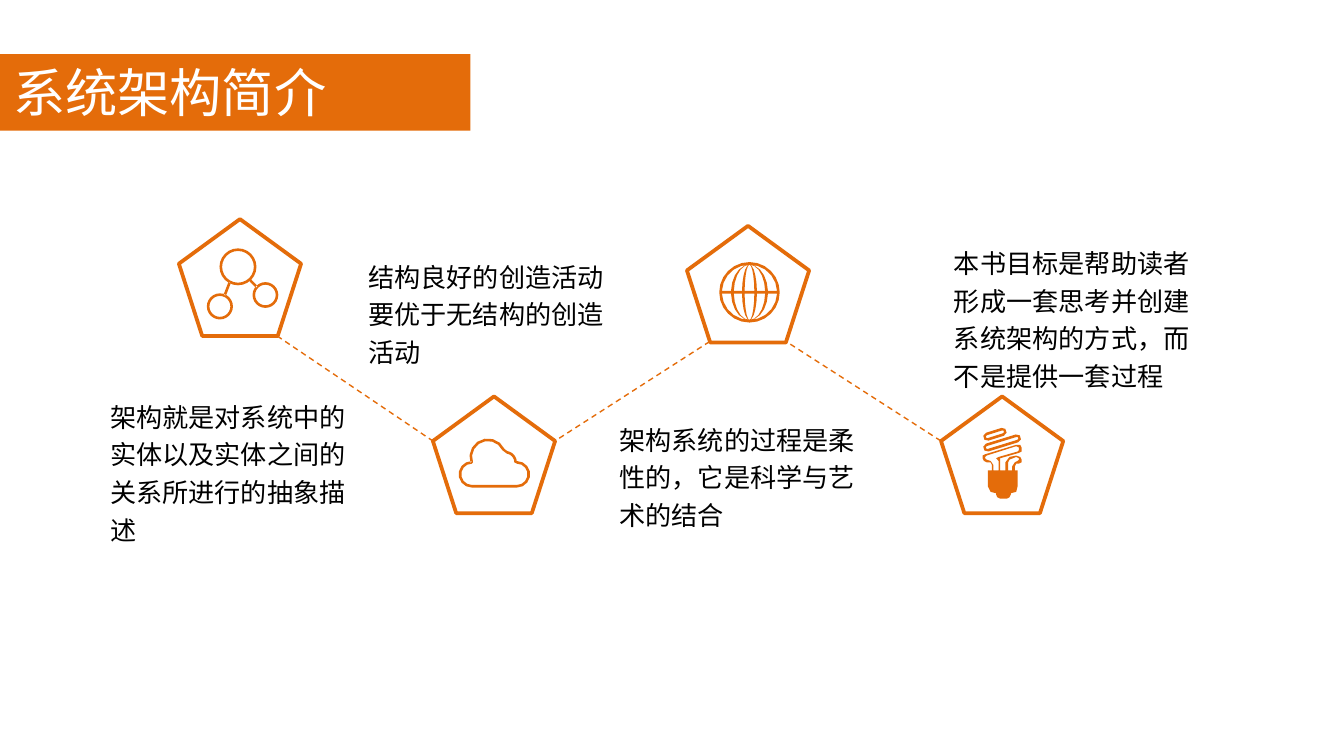
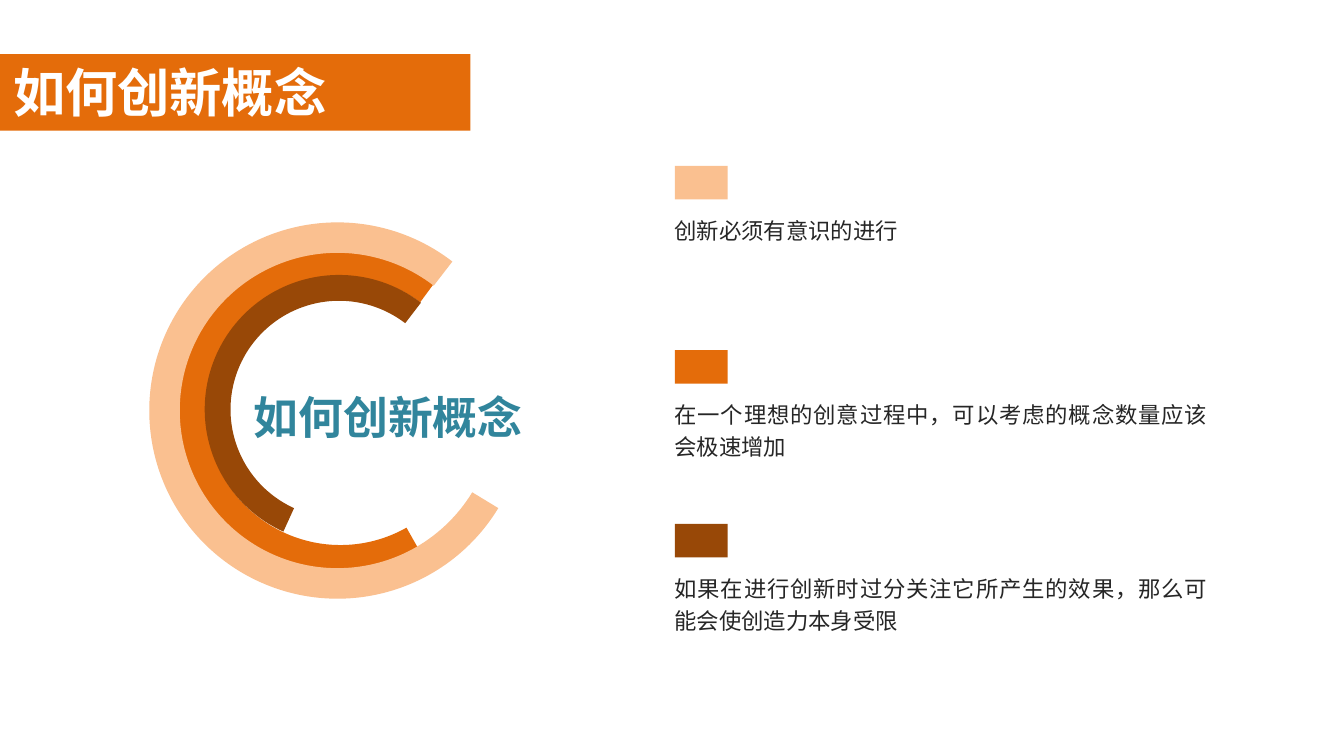
import math
from dataclasses import dataclass

import pptx
import pptx.dml.color
import pptx.enum.dml
import pptx.enum.shapes
import pptx.enum.text
import pptx.oxml.ns
import pptx.shapes.base
import pptx.slide
import pptx.util
from lxml import etree

Pt = pptx.util.Pt
RGBColor = pptx.dml.color.RGBColor
Shapes = pptx.enum.shapes.MSO_SHAPE
Align = pptx.enum.text.PP_ALIGN
Slide = pptx.slide.Slide
Point = tuple[float, float]
Contour = list[Point]
Box = tuple[float, float, float, float]

ORANGE = RGBColor(0xE4, 0x6C, 0x0A)
PEACH = RGBColor(0xFA, 0xC0, 0x90)
BROWN = RGBColor(0x98, 0x48, 0x07)
TEAL = RGBColor(0x31, 0x85, 0x9C)
WHITE = RGBColor(0xFF, 0xFF, 0xFF)
BLACK = RGBColor(0, 0, 0)
CHARCOAL = RGBColor(0x26, 0x26, 0x26)

CJK_FONT = "Noto Sans CJK SC"
TITLE_BAND: Box = (0, 29, 252, 41)
PENTAGON_WIDTH, PENTAGON_HEIGHT = 65.5, 62.6
PENTAGON_LEFT, PENTAGON_PITCH = 95.8, 136.1
STROKE = 1.4


@dataclass(frozen=True)
class Idea:
    pentagon_top: float
    icon: list[Contour]
    text: str
    text_box: Box


@dataclass(frozen=True)
class Ring:
    left: float
    top: float
    size: float
    rotation: float
    start: float
    end: float
    thickness: float
    color: RGBColor


@dataclass(frozen=True)
class Rule:
    top: float
    text_height: float
    color: RGBColor
    text: str


def points(box: Box) -> list[int]:
    return [Pt(length) for length in box]


def write(frame, text: str, *, size: float, color: RGBColor, font: str = CJK_FONT,
          bold: bool = False, align=Align.LEFT, spacing: float = 1.0) -> None:
    frame.word_wrap = True
    frame.vertical_anchor = pptx.enum.text.MSO_ANCHOR.TOP
    frame.auto_size = pptx.enum.text.MSO_AUTO_SIZE.SHAPE_TO_FIT_TEXT
    paragraph = frame.paragraphs[0]
    paragraph.alignment = align
    paragraph.line_spacing = spacing
    run = paragraph.add_run()
    run.text = text
    run.font.size = Pt(size)
    run.font.bold = bold
    run.font.color.rgb = color
    run.font.name = font
    east_asian = etree.SubElement(run.font._element, pptx.oxml.ns.qn("a:ea"))
    east_asian.set("typeface", CJK_FONT)


def add_text(slide: Slide, box: Box, text: str, **text_format) -> None:
    write(slide.shapes.add_textbox(*points(box)).text_frame, text, **text_format)


def paint(shape: pptx.shapes.base.BaseShape, color: RGBColor) -> None:
    shape.shadow.inherit = False
    shape.fill.solid()
    shape.fill.fore_color.rgb = color
    shape.line.fill.background()


def add_filled(slide: Slide, kind: Shapes, box: Box, color: RGBColor):
    shape = slide.shapes.add_shape(kind, *points(box))
    paint(shape, color)
    return shape


def add_title(slide: Slide, title: str, **text_format) -> None:
    band = add_filled(slide, Shapes.RECTANGLE, TITLE_BAND, ORANGE)
    write(band.text_frame, title, size=28, color=WHITE, **text_format)


def arc(x: float, y: float, radius: float, start: float, end: float,
        steps: int = 5) -> Contour:
    """Points along an arc, in degrees clockwise from the right."""
    angles = [math.radians(start + (end - start) * i / steps) for i in range(steps + 1)]
    return [(x + radius * math.cos(a), y + radius * math.sin(a)) for a in angles]


def circle(center: Point, radius: float) -> Contour:
    return arc(*center, radius, 0, 345, steps=23)


def capsule(start: Point, end: Point, radius: float) -> Contour:
    """Outline of a round-ended bar."""
    angle = math.degrees(math.atan2(end[1] - start[1], end[0] - start[0]))
    return (arc(*end, radius, angle - 90, angle + 90, steps=3)
            + arc(*start, radius, angle + 90, angle + 270, steps=3))


def molecule_icon() -> list[Contour]:
    atoms = [((31.7, 25.6), 9.9), ((22, 46.8), 7), ((46.4, 40.7), 6.9)]
    bonds = [((27, 34.6), (24.8, 40.3)), ((38.6, 33.2), (41.4, 36))]
    rings = [circle(center, radius - inset)
             for center, radius in atoms for inset in (0, STROKE)]
    return rings + [capsule(*bond, STROKE / 2) for bond in bonds]


def cloud_icon() -> list[Contour]:
    lobes = [(20.9, 41.7, 6.4, 90, 270), (29.5, 32.4, 9.2, 160, 335),
             (38.9, 35.3, 5.4, 280, 360), (45, 41.7, 6.4, 270, 450)]
    return [[point for x, y, radius, start, end in lobes
             for point in arc(x, y, radius + offset, start, end, steps=7)]
            for offset in (STROKE / 2, -STROKE / 2)]


def globe_icon() -> list[Contour]:
    """A disc with holes between its meridians, above and below the equator."""
    x, y, radius = 33.5, 35.6, 16.2
    inner = radius - STROKE
    gaps = [(-inner, -9.9), (-8.4, -4), (-2.6, 2.6), (4, 8.4), (9.9, inner)]
    contours = [circle((x, y), radius)]
    quarter = arc(0, 0, 1, 3, 90)
    for side in (-1, 1):
        for left, right in gaps:
            edges = [[(x + width * cos, y + side * inner * sin) for cos, sin in quarter]
                     for width in (left, right)]
            contours.append(edges[0] + edges[1][::-1])
    return contours


def bulb_icon() -> list[Contour]:
    """Two tube loops over a third that runs down into the socket."""
    body = [
        [(29, 24), (28, 22), (25, 21), (20, 22), (17, 26), (17, 32), (13, 32), (13, 23),
         (27, 19), (29, 18), (29, 15), (28, 13), (25, 13), (2, 20), (0, 21), (0, 23),
         (1, 25), (3, 26), (6, 26), (7, 28), (7, 32), (4, 32), (4, 44), (6, 48),
         (10, 49), (10, 50), (11, 52), (13, 53), (18, 53), (20, 52), (21, 50), (21, 49),
         (25, 48), (26, 44), (26, 32), (24, 32), (24, 29), (25, 27), (27, 27), (29, 26)],
        [(10, 23), (12, 25), (12, 32), (8, 32), (8, 28), (6, 25), (3, 24), (2, 23),
         (2, 22), (3, 21), (25, 14), (27, 15), (27, 17), (26, 18), (12, 22)],
        [(26, 25), (24, 26), (22, 29), (22, 32), (19, 32), (19, 26), (20, 24), (25, 22),
         (27, 23), (27, 24)],
    ]
    left, top, unit = 22.3, 16.6, 0.72
    lower = [[(left + x * unit, top + y * unit) for x, y in contour] for contour in body]
    loops = [((24.8, 21.6), (33, 19)), ((24.8, 27.4), (40.7, 22.5))]
    return [capsule(*loop, radius) for loop in loops for radius in (2.2, 0.8)] + lower


def add_icon(slide: Slide, contours: list[Contour], left: float, top: float) -> None:
    outline = None
    for contour in contours:
        first, *rest = [(Pt(left + x), Pt(top + y)) for x, y in contour]
        if outline is None:
            outline = slide.shapes.build_freeform(*first)
        else:
            outline.move_to(*first)
        outline.add_line_segments(rest, close=True)
    paint(outline.convert_to_shape(), ORANGE)


def add_dashed_link(slide: Slide, link: Box) -> None:
    connector = slide.shapes.add_connector(
        pptx.enum.shapes.MSO_CONNECTOR.STRAIGHT, *points(link))
    connector.line.color.rgb = ORANGE
    connector.line.width = Pt(0.75)
    connector.line.dash_style = pptx.enum.dml.MSO_LINE.DASH
    etree.SubElement(connector._element.spPr, pptx.oxml.ns.qn("a:effectLst"))


def add_idea(slide: Slide, idea: Idea, left: float) -> None:
    pentagon = slide.shapes.add_shape(Shapes.REGULAR_PENTAGON, *points(
        (left, idea.pentagon_top, PENTAGON_WIDTH, PENTAGON_HEIGHT)))
    pentagon.shadow.inherit = False
    pentagon.fill.background()
    pentagon.line.color.rgb = ORANGE
    pentagon.line.width = Pt(2)
    add_icon(slide, idea.icon, left, idea.pentagon_top)
    add_text(slide, idea.text_box, idea.text, size=14, color=BLACK, spacing=1.2)


def add_ring(slide: Slide, ring: Ring) -> None:
    shape = add_filled(slide, Shapes.BLOCK_ARC,
                       (ring.left, ring.top, ring.size, ring.size), ring.color)
    shape.rotation = ring.rotation
    shape.adjustments[0] = ring.start * 0.6
    shape.adjustments[1] = ring.end * 0.6
    shape.adjustments[2] = ring.thickness


def add_rule(slide: Slide, rule: Rule) -> None:
    add_filled(slide, Shapes.RECTANGLE, (361.6, rule.top, 28.3, 18), rule.color)
    add_text(slide, (354.2, rule.top + 21, 300.2, rule.text_height), rule.text, size=12,
             color=CHARCOAL, font="Arial", align=Align.JUSTIFY, spacing=1.2)


def build_architecture(slide: Slide) -> None:
    ideas = [
        Idea(117.4, molecule_icon(),
             "架构就是对系统中的实体以及实体之间的关系所进行的抽象描述",
             (51.9, 208, 153.4, 87)),
        Idea(212.4, cloud_icon(), "结构良好的创造活动要优于无结构的创造活动",
             (190.2, 133, 153.4, 67)),
        Idea(121, globe_icon(), "架构系统的过程是柔性的，它是科学与艺术的结合",
             (324.8, 220.3, 153.4, 67)),
        Idea(212.4, bulb_icon(),
             "本书目标是帮助读者形成一套思考并创建系统架构的方式，而不是提供一套过程",
             (504, 125.6, 153.4, 87)),
    ]
    links = [(148.5, 180, 231.8, 236.2), (380.2, 183, 297.4, 236.2),
             (504, 236.2, 421.2, 183)]
    add_title(slide, "系统架构简介")
    for link in links:
        add_dashed_link(slide, link)
    for i, idea in enumerate(ideas):
        add_idea(slide, idea, PENTAGON_LEFT + i * PENTAGON_PITCH)


def build_innovation(slide: Slide) -> None:
    topic = "如何创新概念"
    rings = [
        Ring(96, 133.5, 172.8, 270, 150.58, 36.38, 0.083, ORANGE),
        Ring(109.7, 147.3, 144, 273.8, 200.72, 33.69, 0.096, BROWN),
        Ring(80, 119.1, 201.6, 270, 121.24, 37.65, 0.081, PEACH),
    ]
    rules = [
        Rule(88.8, 40, PEACH, "创新必须有意识的进行"),
        Rule(187.6, 58, ORANGE, "在一个理想的创意过程中，可以考虑的概念数量应该会极速增加"),
        Rule(280.6, 58, BROWN,
             "如果在进行创新时过分关注它所产生的效果，那么可能会使创造力本身受限"),
    ]
    add_title(slide, topic, font="Calibri", bold=True)
    for ring in rings:
        add_ring(slide, ring)
    add_text(slide, (128.9, 205.4, 191.5, 36), topic, size=24, color=TEAL,
             font="Calibri", bold=True)
    for rule in rules:
        add_rule(slide, rule)


def main() -> None:
    deck = pptx.Presentation()
    deck.slide_width, deck.slide_height = Pt(720), Pt(405)
    blank = deck.slide_layouts[6]
    for build in (build_architecture, build_innovation):
        build(deck.slides.add_slide(blank))
    deck.save("out.pptx")


if __name__ == "__main__":
    main()
